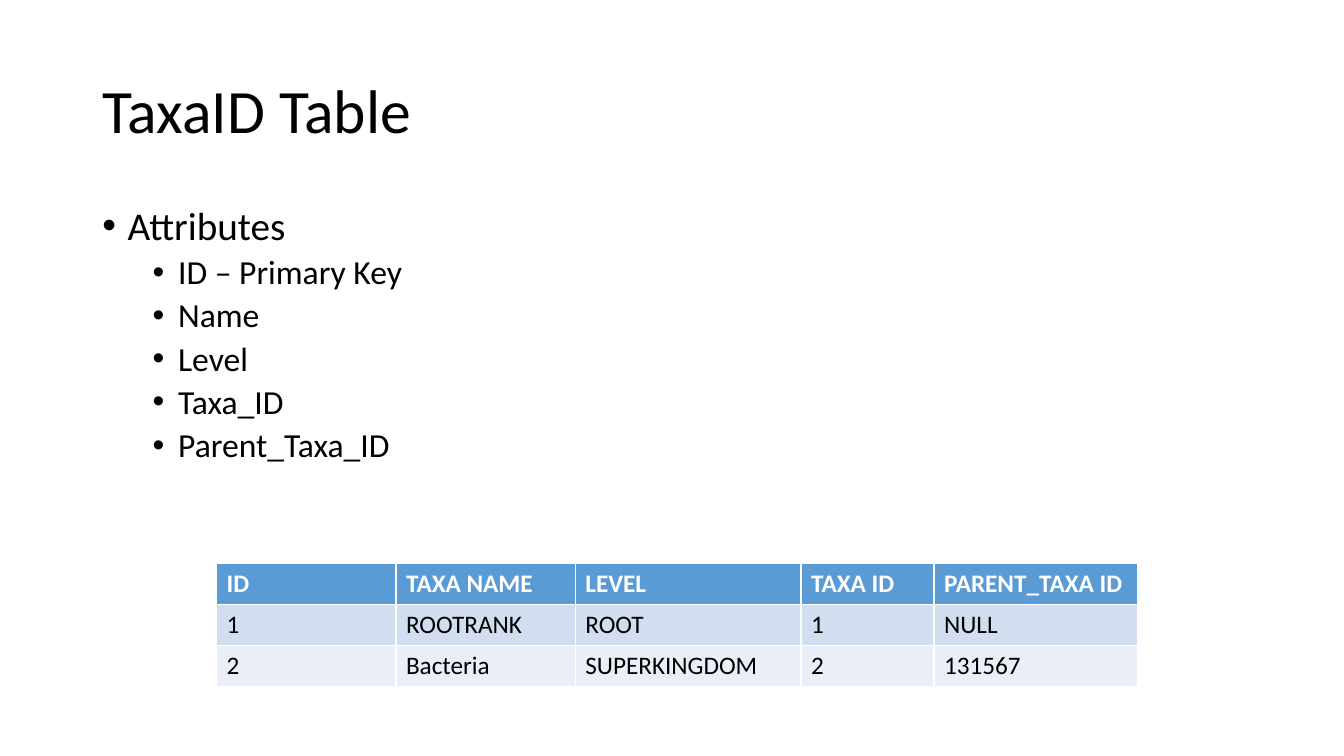
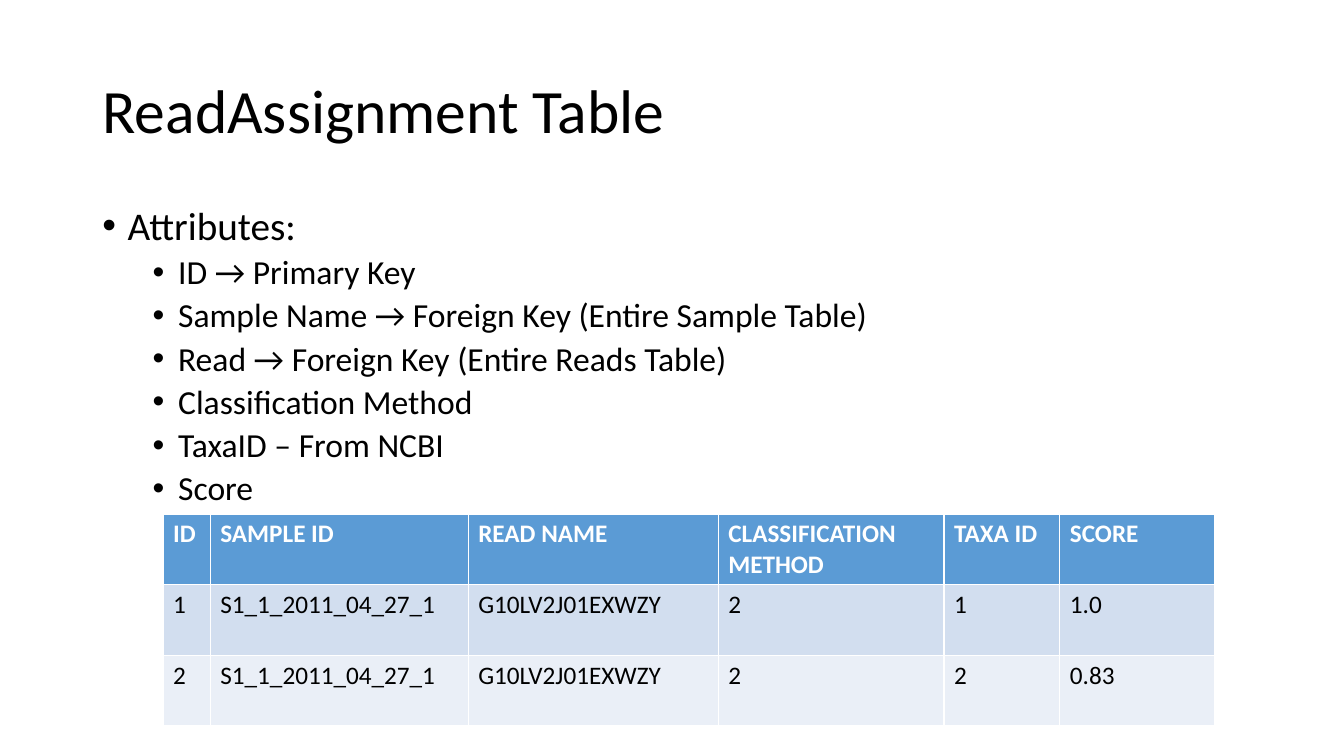
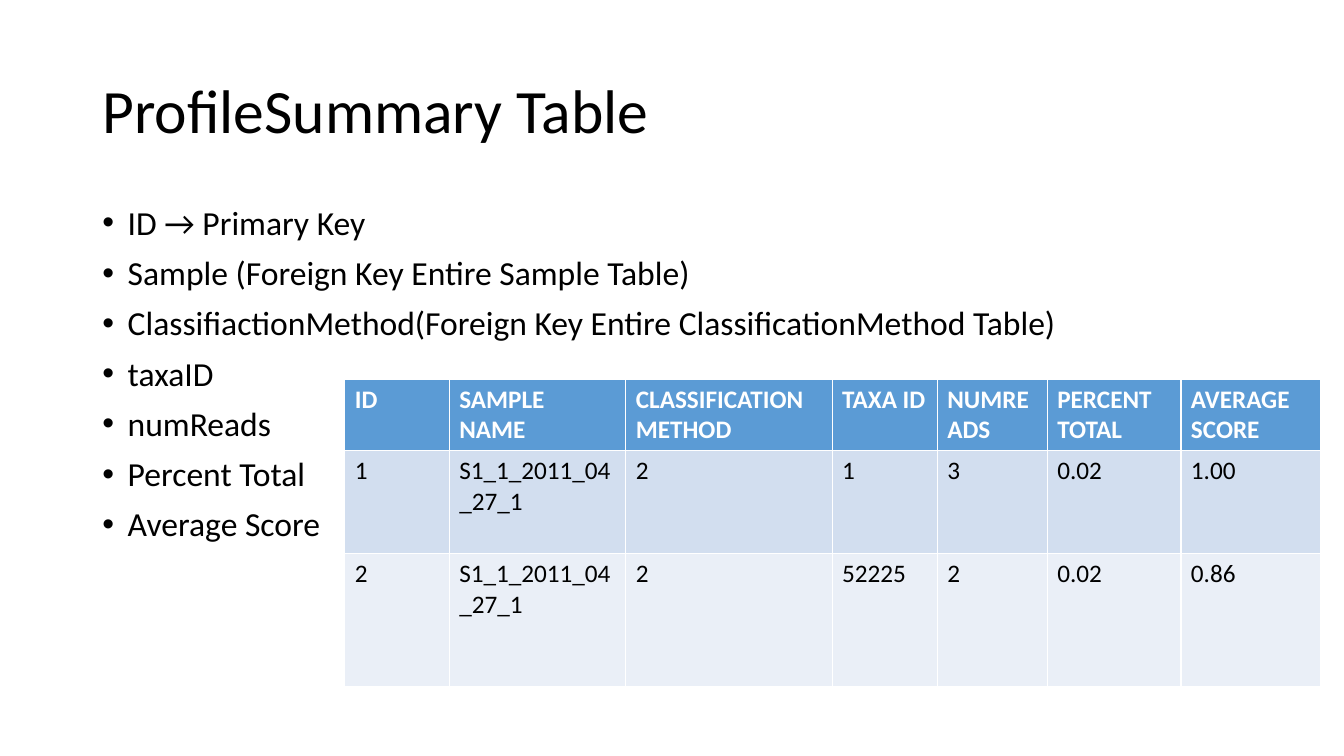
from lxml import etree
from pptx import Presentation
from pptx.dml.color import RGBColor
from pptx.enum import text
from pptx.oxml import ns
from pptx.util import Cm, Pt

FONT = "Calibri"
COLOURS = {
    "text": "000000",
    "header text": "FFFFFF",
    "header": "5B9BD5",
    "odd row": "D2DEEF",
    "even row": "EAEFF7",
}
TITLE_BOX = (2.33, 1.01, 29.21, 3.68)
BODY_BOX = (2.33, 5.07, 29.21, 12.09)
TITLE_SIZE, CELL_SIZE = 44, 18
# level: (left margin in cm, space before in pt)
LEVELS = {0: (0.64, 10), 1: (1.91, 5)}
HANGING = 0.64

# Bullets are (level, size, text); table lengths are in cm.
SLIDES = [
    {
        "title": "TaxaID Table",
        "bullets": [(0, 28, "Attributes")] + [(1, 24, line) for line in (
            "ID – Primary Key", "Name", "Level", "Taxa_ID", "Parent_Taxa_ID")],
        "position": (5.46, 14.2),
        "widths": (4.52, 4.52, 5.69, 3.35, 5.13),
        "heights": (1.03, 1.03, 1.03),
        "records": [
            ("ID", "TAXA NAME", "LEVEL", "TAXA ID", "PARENT_TAXA ID"),
            ("1", "ROOTRANK", "ROOT", "1", "NULL"),
            ("2", "Bacteria", "SUPERKINGDOM", "2", "131567"),
        ],
    },
    {
        "title": "ReadAssignment Table",
        "bullets": [(0, 28, "Attributes:")] + [(1, 24, line) for line in (
            "ID → Primary Key",
            "Sample Name → Foreign Key (Entire Sample Table)",
            "Read → Foreign Key (Entire Reads Table)",
            "Classification Method", "TaxaID – From NCBI", "Score")],
        "position": (4.11, 12.95),
        "widths": (1.19, 6.5, 6.3, 5.69, 2.92, 3.89),
        "heights": (1.78, 1.78, 1.78),
        "records": [
            ("ID", "SAMPLE ID", "READ NAME", "CLASSIFICATION METHOD", "TAXA ID", "SCORE"),
            ("1", "S1_1_2011_04_27_1", "G10LV2J01EXWZY", "2", "1", "1.0"),
            ("2", "S1_1_2011_04_27_1", "G10LV2J01EXWZY", "2", "2", "0.83"),
        ],
    },
    {
        "title": "ProfileSummary Table",
        "bullets": [(0, 24, line) for line in (
            "ID → Primary Key",
            "Sample (Foreign Key Entire Sample Table)",
            "ClassifiactionMethod(Foreign Key Entire ClassificationMethod Table)",
            "taxaID", "numReads", "Percent Total", "Average Score")],
        "position": (8.69, 9.55),
        "widths": (2.63, 4.45, 5.2, 2.65, 2.77, 3.37, 3.51),
        "heights": (1.8, 2.6, 3.36),
        "records": [
            ("ID", "SAMPLE NAME", "CLASSIFICATION METHOD", "TAXA ID", "NUMREADS",
             "PERCENT TOTAL", "AVERAGE SCORE"),
            ("1", "S1_1_2011_04_27_1", "2", "1", "3", "0.02", "1.00"),
            ("2", "S1_1_2011_04_27_1", "2", "52225", "2", "0.02", "0.86"),
        ],
    },
]


def set_font(paragraph, size, colour="text", bold=False):
    font = paragraph.font
    font.name, font.size, font.bold = FONT, Pt(size), bold
    font.color.rgb = RGBColor.from_string(COLOURS[colour])


def add_title(slide, wording):
    title = slide.shapes.title
    title.left, title.top, title.width, title.height = map(Cm, TITLE_BOX)
    frame = title.text_frame
    frame.text = wording
    frame.auto_size = text.MSO_AUTO_SIZE.NONE
    frame.vertical_anchor = text.MSO_ANCHOR.MIDDLE
    heading = frame.paragraphs[0]
    heading.alignment = text.PP_ALIGN.LEFT
    heading.line_spacing = 0.9
    set_font(heading, TITLE_SIZE)


def add_bullets(slide, bullets):
    frame = slide.shapes.add_textbox(*map(Cm, BODY_BOX)).text_frame
    frame.word_wrap = True
    for index, (level, size, wording) in enumerate(bullets):
        bullet = frame.add_paragraph() if index else frame.paragraphs[0]
        margin, space_before = LEVELS[level]
        bullet.text = wording
        bullet.level = level
        bullet.line_spacing = 0.9
        bullet.space_before = Pt(space_before)
        properties = bullet._p.get_or_add_pPr()
        properties.set("marL", str(Cm(margin)))
        properties.set("indent", str(-Cm(HANGING)))
        etree.SubElement(properties, ns.qn("a:buFont"), typeface="Arial")
        etree.SubElement(properties, ns.qn("a:buChar"), char="•")
        set_font(bullet, size)


def add_records(slide, position, widths, heights, records):
    """Add the sample table; its white rules come from the default table style."""
    table = slide.shapes.add_table(
        len(records), len(widths), *map(Cm, position),
        Cm(sum(widths)), Cm(sum(heights))).table
    for column, width in zip(table.columns, widths):
        column.width = Cm(width)
    for number, (row, height, record) in enumerate(zip(table.rows, heights, records)):
        row.height = Cm(height)
        is_header = number == 0
        fill = "header" if is_header else "odd row" if number % 2 else "even row"
        for cell, value in zip(row.cells, record):
            cell.text = value
            cell.fill.solid()
            cell.fill.fore_color.rgb = RGBColor.from_string(COLOURS[fill])
            set_font(cell.text_frame.paragraphs[0], CELL_SIZE,
                     "header text" if is_header else "text", is_header)


def main():
    deck = Presentation()
    deck.slide_width, deck.slide_height = Cm(33.87), Cm(19.05)
    title_only = deck.slide_layouts.get_by_name("Title Only")
    for content in SLIDES:
        slide = deck.slides.add_slide(title_only)
        add_title(slide, content["title"])
        add_bullets(slide, content["bullets"])
        add_records(slide, content["position"], content["widths"],
                    content["heights"], content["records"])
    deck.save("out.pptx")


if __name__ == "__main__":
    main()
